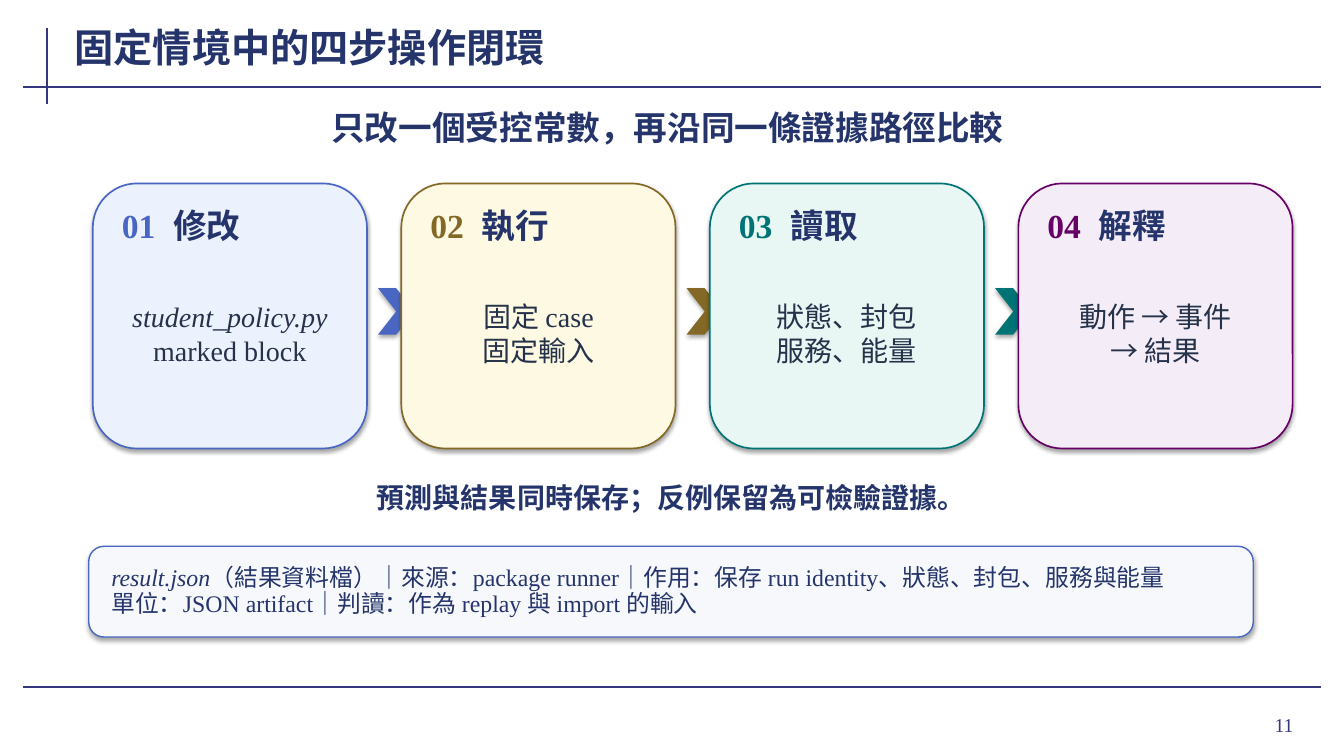
"""Build the slide about the four-step operating loop."""
from dataclasses import dataclass

import lxml.etree
import pptx
import pptx.dml.color
import pptx.enum.shapes
import pptx.enum.text
import pptx.oxml
import pptx.oxml.ns
import pptx.util

Align = pptx.enum.text.PP_ALIGN
Fit = pptx.enum.text.MSO_AUTO_SIZE
Preset = pptx.enum.shapes.MSO_SHAPE
EMU_PER_PX = 9144


@dataclass(frozen=True)
class Theme:
    font: str = "Times New Roman"
    rule: str = "35377F"
    heading: str = "25356B"
    body: str = "25324A"
    accent: str = "4967C2"
    note_fill: str = "F7F8FC"
    title_size: int = 28
    lead_size: int = 24
    body_size: int = 20
    note_size: int = 17
    number_size: int = 14


@dataclass(frozen=True)
class Area:
    left: int
    top: int
    width: int
    height: int

    def shifted(self, offset: int) -> "Area":
        return Area(self.left + offset, self.top, self.width, self.height)

    def emu(self) -> list[int]:
        return [px(self.left), px(self.top), px(self.width), px(self.height)]


@dataclass(frozen=True)
class Span:
    text: str
    italic: bool = False


@dataclass(frozen=True)
class Style:
    size: int
    color: str
    bold: bool = False
    align: Align = Align.LEFT
    spacing: float | None = None


@dataclass(frozen=True)
class Step:
    name: str
    lines: list[list[Span]]
    color: str
    fill: str


THEME = Theme()
STEP_PITCH = 306
RULES = [(47, 28, 47, 103), (23, 86, 1310, 86), (23, 682, 1310, 682)]
STEPS = [
    Step("修改", [[Span("student_policy.py", True)], [Span("marked block")]], THEME.accent, "ECF1FE"),
    Step("執行", [[Span("固定 case")], [Span("固定輸入")]], "846826", "FDF9E2"),
    Step("讀取", [[Span("狀態、封包")], [Span("服務、能量")]], "007374", "E8F7F4"),
    Step("解釋", [[Span("動作 → 事件")], [Span("→ 結果")]], "660066", "F4EDF7"),
]
NOTE = [
    [
        Span("result.json", True),
        Span("（結果資料檔）｜來源：package runner｜作用：保存 run identity、狀態、封包、服務與能量"),
    ],
    [Span("單位：JSON artifact｜判讀：作為 replay 與 import 的輸入")],
]
SHADOW = (
    f'<a:effectLst {pptx.oxml.ns.nsdecls("a")}>'
    '<a:outerShdw blurRad="40000" dist="23000" dir="5400000" rotWithShape="0">'
    '<a:srgbClr val="000000"><a:alpha val="35000"/></a:srgbClr>'
    "</a:outerShdw></a:effectLst>"
)


def px(length: int) -> int:
    return pptx.util.Emu(length * EMU_PER_PX)


def rgb(color: str) -> pptx.dml.color.RGBColor:
    return pptx.dml.color.RGBColor.from_string(color)


def write(shape, lines: list[list[Span]], style: Style, inset_x: int = 2, inset_y: int = 1) -> None:
    frame = shape.text_frame
    frame.word_wrap = True
    frame.vertical_anchor = pptx.enum.text.MSO_ANCHOR.MIDDLE
    frame.margin_left = frame.margin_right = px(inset_x)
    frame.margin_top = frame.margin_bottom = px(inset_y)
    for index, line in enumerate(lines):
        para = frame.add_paragraph() if index else frame.paragraphs[0]
        para.alignment = style.align
        if style.spacing:
            para.line_spacing = style.spacing
        para.font.name = THEME.font
        para.font.size = pptx.util.Pt(style.size)
        para.font.bold = style.bold
        para.font.color.rgb = rgb(style.color)
        for span in line:
            run = para.add_run()
            run.text = span.text
            if span.italic:
                run.font.italic = True


def add_text(page, area: Area, lines: list[list[Span]], style: Style, fit: Fit = Fit.SHAPE_TO_FIT_TEXT) -> None:
    box = page.shapes.add_textbox(*area.emu())
    write(box, lines, style)
    box.text_frame.auto_size = fit


def add_panel(page, preset: Preset, area: Area, fill: str, line: str | None = None, weight: float = 1):
    panel = page.shapes.add_shape(preset, *area.emu())
    panel.fill.solid()
    panel.fill.fore_color.rgb = rgb(fill)
    if line:
        panel.line.color.rgb = rgb(line)
        panel.line.width = pptx.util.Pt(weight)
    else:
        panel.line.fill.background()
    panel.element.spPr.append(pptx.oxml.parse_xml(SHADOW))
    return panel


def add_rule(page, ends: tuple[int, int, int, int]) -> None:
    rule = page.shapes.add_connector(pptx.enum.shapes.MSO_CONNECTOR.STRAIGHT, *map(px, ends))
    rule.line.color.rgb = rgb(THEME.rule)
    rule.line.width = pptx.util.Pt(1.5)
    lxml.etree.SubElement(rule.element.spPr, pptx.oxml.ns.qn("a:effectLst"))


def add_step(page, index: int, step: Step) -> None:
    offset = index * STEP_PITCH
    number = Style(THEME.lead_size, step.color, True, Align.CENTER)
    name = Style(THEME.lead_size, THEME.heading, True)
    detail = Style(THEME.body_size, THEME.body, align=Align.CENTER)
    add_panel(page, Preset.ROUNDED_RECTANGLE, Area(92, 182, 272, 263).shifted(offset), step.fill, step.color, 1.2)
    add_text(page, Area(110, 200, 55, 46).shifted(offset), [[Span(f"{index + 1:02}")]], number)
    add_text(page, Area(170, 198, 166, 50).shifted(offset), [[Span(step.name)]], name)
    add_text(page, Area(114, 278, 228, 105).shifted(offset), step.lines, detail)
    if index < len(STEPS) - 1:
        add_panel(page, Preset.CHEVRON, Area(375, 286, 36, 46).shifted(offset), step.color)


def main() -> None:
    deck = pptx.Presentation()
    deck.slide_width, deck.slide_height = px(1333), px(750)
    page = deck.slides.add_slide(deck.slide_layouts[6])
    for ends in RULES:
        add_rule(page, ends)
    add_text(page, Area(1204, 693, 81, 52), [[Span("11")]],
             Style(THEME.number_size, THEME.rule, align=Align.RIGHT), Fit.NONE)
    add_text(page, Area(72, 20, 1035, 53), [[Span("固定情境中的四步操作閉環")]],
             Style(THEME.title_size, THEME.heading, True), Fit.NONE)
    add_text(page, Area(108, 102, 1108, 48), [[Span("只改一個受控常數，再沿同一條證據路徑比較")]],
             Style(THEME.lead_size, THEME.heading, True, Align.CENTER))
    for index, step in enumerate(STEPS):
        add_step(page, index, step)
    add_text(page, Area(118, 472, 1096, 42), [[Span("預測與結果同時保存；反例保留為可檢驗證據。")]],
             Style(THEME.body_size, THEME.heading, True, Align.CENTER))
    note = add_panel(page, Preset.ROUNDED_RECTANGLE, Area(88, 542, 1155, 90), THEME.note_fill, THEME.accent)
    write(note, NOTE, Style(THEME.note_size, THEME.heading, spacing=0.92), 18, 5)
    deck.save("out.pptx")


if __name__ == "__main__":
    main()
